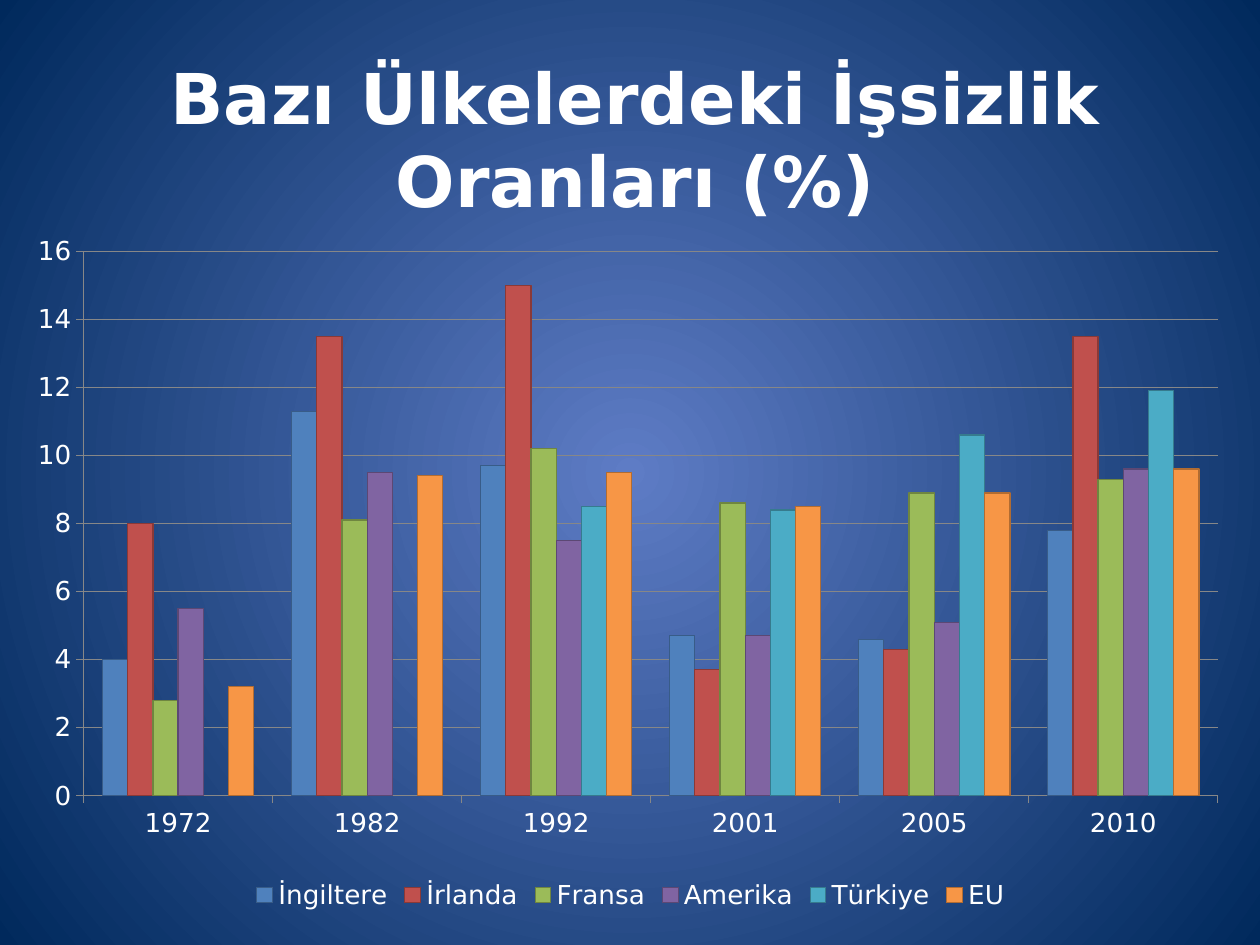
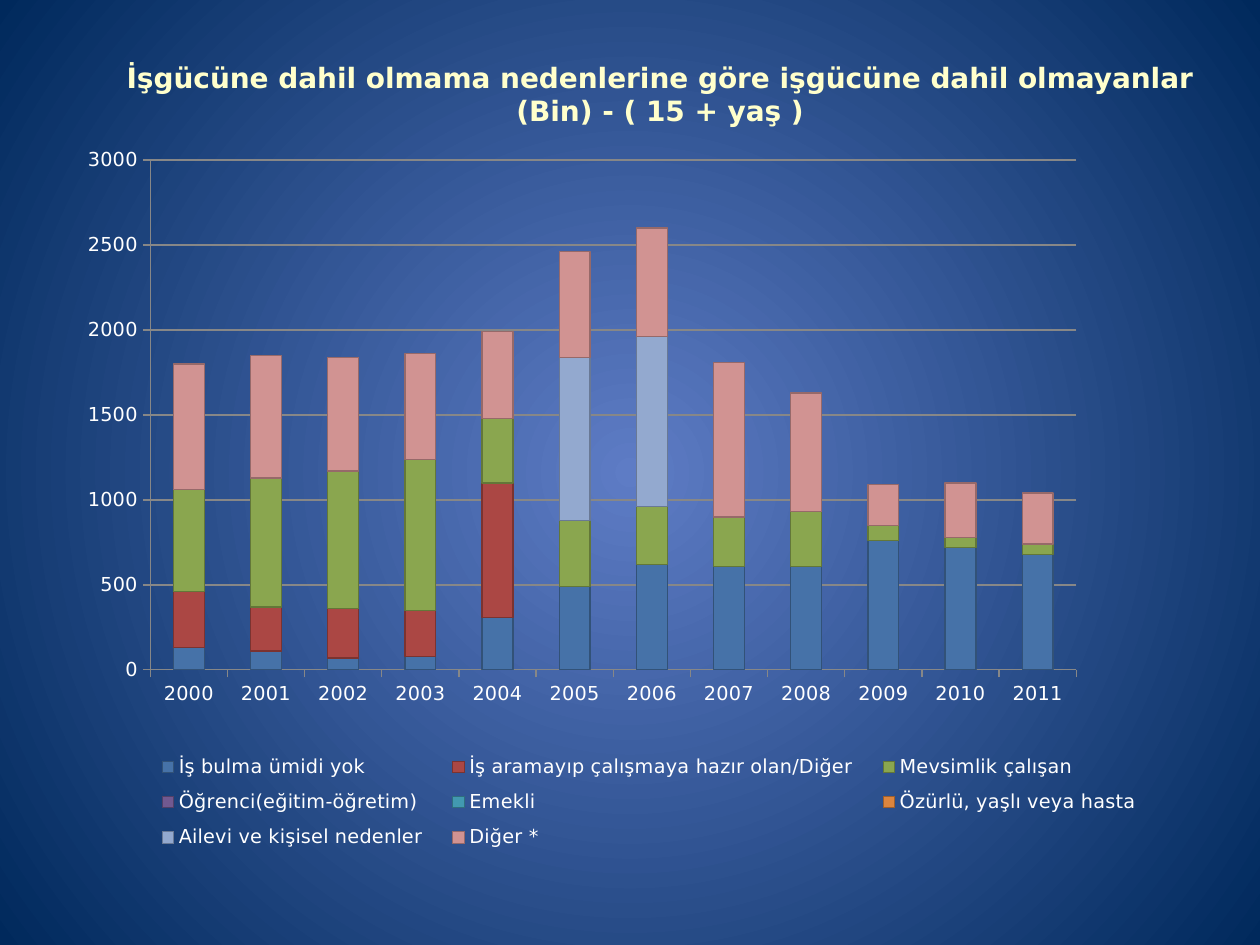
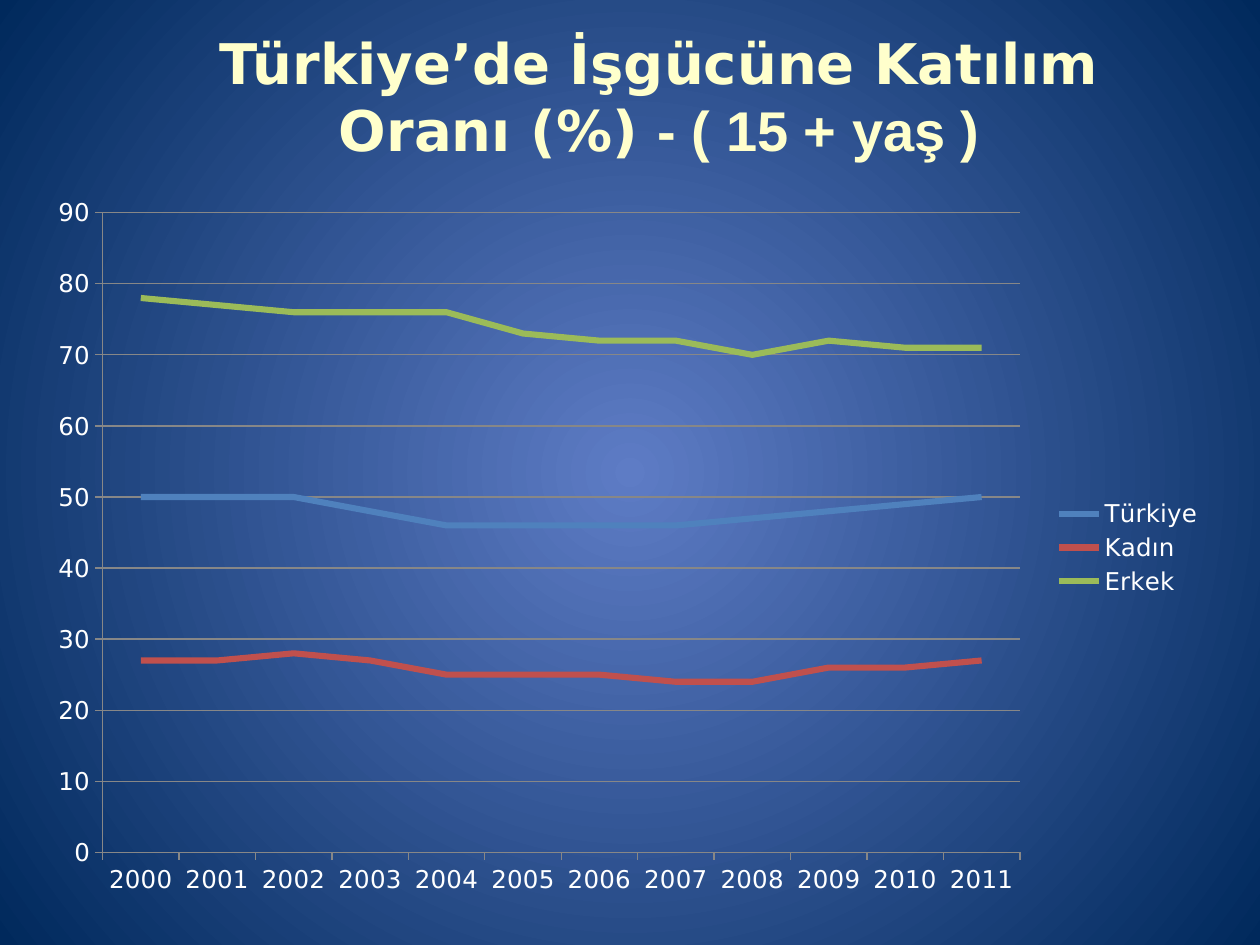
from lxml.etree import SubElement
from pptx import Presentation
from pptx.chart.data import CategoryChartData
from pptx.dml.color import RGBColor
from pptx.enum.chart import XL_CHART_TYPE, XL_LEGEND_POSITION, XL_TICK_MARK
from pptx.enum.text import MSO_ANCHOR, MSO_AUTO_SIZE, PP_ALIGN
from pptx.oxml.ns import qn
from pptx.util import Inches, Pt

# Shared look
WIDTH, HEIGHT = Inches(10), Inches(7.5)
FONT = "DejaVu Sans"
TITLE_ONLY = 5
COLORS = {
    "centre": "5E7CC5", "edge": "00295C", "white": "FFFFFF",
    "cream": "FFFFCC", "grid": "878787",
}
BRIGHT = ["4F81BD", "C0504D", "9BBB59", "8064A2", "4BACC6", "F79646"]
MUTED = ["4672A8", "AB4744", "8AA64F", "725990", "4299B0", "DC853E",
         "93A9CF", "D19392"]

# Chart data
COUNTRY_YEARS = ["1972", "1982", "1992", "2001", "2005", "2010"]
UNEMPLOYMENT = {
    "İngiltere": [4, 11.3, 9.7, 4.7, 4.6, 7.8],
    "İrlanda": [8, 13.5, 15, 3.7, 4.3, 13.5],
    "Fransa": [2.8, 8.1, 10.2, 8.6, 8.9, 9.3],
    "Amerika": [5.5, 9.5, 7.5, 4.7, 5.1, 9.6],
    "Türkiye": [None, None, 8.5, 8.4, 10.6, 11.9],
    "EU": [3.2, 9.4, 9.5, 8.5, 8.9, 9.6],
}
YEARS = [str(year) for year in range(2000, 2012)]
NONE_REPORTED = [0] * len(YEARS)
REASONS = {
    "İş bulma ümidi yok":
        [130, 110, 70, 80, 310, 490, 620, 610, 610, 760, 720, 680],
    "İş aramayıp çalışmaya hazır olan/Diğer":
        [330, 260, 290, 270, 790] + [0] * 7,
    "Mevsimlik çalışan":
        [600, 760, 810, 890, 380, 390, 340, 290, 320, 90, 60, 60],
    "Öğrenci(eğitim-öğretim)": NONE_REPORTED,
    "Emekli": NONE_REPORTED,
    "Özürlü, yaşlı veya hasta": NONE_REPORTED,
    "Ailevi ve kişisel nedenler": [0] * 5 + [960, 1000] + [0] * 5,
    "Diğer *": [740, 720, 670, 620, 510, 620, 640, 910, 700, 240, 320, 300],
}
PARTICIPATION = {
    "Türkiye": [50, 50, 50, 48, 46, 46, 46, 46, 47, 48, 49, 50],
    "Kadın": [27, 27, 28, 27, 25, 25, 25, 24, 24, 26, 26, 27],
    "Erkek": [78, 77, 76, 76, 76, 73, 72, 72, 70, 72, 71, 71],
}


def rgb(value):
    return RGBColor.from_string(COLORS.get(value, value))


def darker(value):
    """Outline colour of a bar: its fill at 72 % strength."""
    return "".join(f"{int(int(value[i:i + 2], 16) * 0.72):02X}" for i in (0, 2, 4))


def box(left, top, width, height):
    """Turn percentages of the slide into lengths."""
    return [int(share * side / 100) for share, side in
            zip((left, top, width, height), (WIDTH, HEIGHT) * 2)]


def set_background(master):
    fill = master.background.fill
    fill.gradient()
    for stop, name in zip(fill.gradient_stops, ("centre", "edge")):
        stop.color.rgb = rgb(name)
    # Radial gradient in place of the linear one
    grad = master.element.find(".//" + qn("p:bgPr") + "/" + qn("a:gradFill"))
    grad.remove(grad.find(qn("a:lin")))
    circle = SubElement(grad, qn("a:path"), path="circle")
    SubElement(circle, qn("a:fillToRect"), l="50000", t="50000", r="50000", b="50000")


def add_text(p, text, size=16, color="white", font=FONT, bold=True):
    r = p.add_run()
    r.text = text
    r.font.size, r.font.name, r.font.bold = Pt(size), font, bold
    r.font.color.rgb = rgb(color)


def add_title_slide(prs, area, text, **fmt):
    s = prs.slides.add_slide(prs.slide_layouts[TITLE_ONLY])
    sp = s.shapes.title
    sp.left, sp.top, sp.width, sp.height = box(*area)
    tf = sp.text_frame
    tf.word_wrap, tf.auto_size = True, MSO_AUTO_SIZE.NONE
    tf.vertical_anchor = MSO_ANCHOR.MIDDLE
    p = tf.paragraphs[0]
    p.alignment = PP_ALIGN.CENTER
    add_text(p, text, **fmt)
    return s


def set_layout(parent, index, area, inner=False):
    """Fix the place of a chart part, in percentages of the chart."""
    for old in parent.findall(qn("c:layout")):
        parent.remove(old)
    layout = parent.makeelement(qn("c:layout"))
    parent.insert(index, layout)
    manual = SubElement(layout, qn("c:manualLayout"))
    if inner:
        SubElement(manual, qn("c:layoutTarget"), val="inner")
    for tag in ("xMode", "yMode"):
        SubElement(manual, qn("c:" + tag), val="edge")
    for tag, share in zip("xywh", area):
        SubElement(manual, qn("c:" + tag), val=f"{share / 100:.3f}")


def style_line(line, color, width=0.75):
    line.color.rgb = rgb(color)
    line.width = Pt(width)


def style_axes(chart, top, step):
    value = chart.value_axis
    value.minimum_scale, value.maximum_scale, value.major_unit = 0, top, step
    value.has_major_gridlines = True
    style_line(value.major_gridlines.format.line, "grid")
    value.tick_labels.number_format = "0"
    value.tick_labels.number_format_is_linked = False
    for axis in (value, chart.category_axis):
        axis.major_tick_mark = XL_TICK_MARK.OUTSIDE
        style_line(axis.format.line, "grid")


def add_chart(s, kind, area, cats, rows, size, scale, plot_area,
              palette=BRIGHT, legend=XL_LEGEND_POSITION.BOTTOM):
    data = CategoryChartData()
    data.categories = cats
    for name, values in rows.items():
        data.add_series(name, values)
    chart = s.shapes.add_chart(kind, *box(*area), data).chart
    chart.has_title = False
    chart.font.size, chart.font.name = Pt(size), FONT
    chart.font.color.rgb = rgb("white")
    style_axes(chart, *scale)
    set_layout(chart.element.find(".//" + qn("c:plotArea")), 0, plot_area, inner=True)
    chart.has_legend = True
    chart.legend.position = legend
    chart.legend.include_in_layout = False

    plot = chart.plots[0]
    plot.vary_by_categories = False
    is_line = kind == XL_CHART_TYPE.LINE
    if not is_line:
        plot.gap_width = 150
        plot.overlap = 100 if kind == XL_CHART_TYPE.COLUMN_STACKED else 0
    for series, color in zip(plot.series, palette):
        if is_line:
            series.smooth = False
            style_line(series.format.line, color, 3.5)
        else:
            series.format.fill.solid()
            series.format.fill.fore_color.rgb = rgb(color)
            style_line(series.format.line, darker(color))
    return chart


def main():
    prs = Presentation()
    prs.slide_width, prs.slide_height = WIDTH, HEIGHT
    set_background(prs.slide_master)

    # Unemployment by country
    s = add_title_slide(prs, (3.9, 6.27, 93, 16.67),
                        "Bazı Ülkelerdeki İşsizlik Oranları (%)", size=40)
    add_chart(s, XL_CHART_TYPE.COLUMN_CLUSTERED, (1.6, 24.93, 96.9, 72),
              COUNTRY_YEARS, UNEMPLOYMENT, 15, (16, 2), (5.2, 2, 92.9, 80.3))

    # Reasons for staying out of the labour force
    s = add_title_slide(prs, (6.7, 4, 91.4, 11.87),
                        "İşgücüne dahil olmama nedenlerine göre işgücüne dahil "
                        "olmayanlar (Bin) - ( 15 + yaş )", color="cream")
    chart = add_chart(s, XL_CHART_TYPE.COLUMN_STACKED, (6.4, 14.93, 92.1, 77.73),
                      YEARS, REASONS, 11, (3000, 500), (6, 2.6, 79.8, 69.4),
                      palette=MUTED)
    set_layout(chart.legend._element, 1, (5, 82, 88, 16))

    # Labour force participation
    s = add_title_slide(prs, (10, 5.87, 84.7, 8.53),
                        "Türkiye’de İşgücüne Katılım Oranı (%) ",
                        size=32, color="cream")
    add_text(s.shapes.title.text_frame.paragraphs[0], "- ( 15 + yaş )",
             size=32, color="cream", font="Arial")
    add_chart(s, XL_CHART_TYPE.LINE, (2.8, 19.6, 93.7, 76.67),
              YEARS, PARTICIPATION, 14, (90, 10), (5.7, 3.8, 77.7, 88.3),
              legend=XL_LEGEND_POSITION.RIGHT)

    prs.save("out.pptx")


if __name__ == "__main__":
    main()
